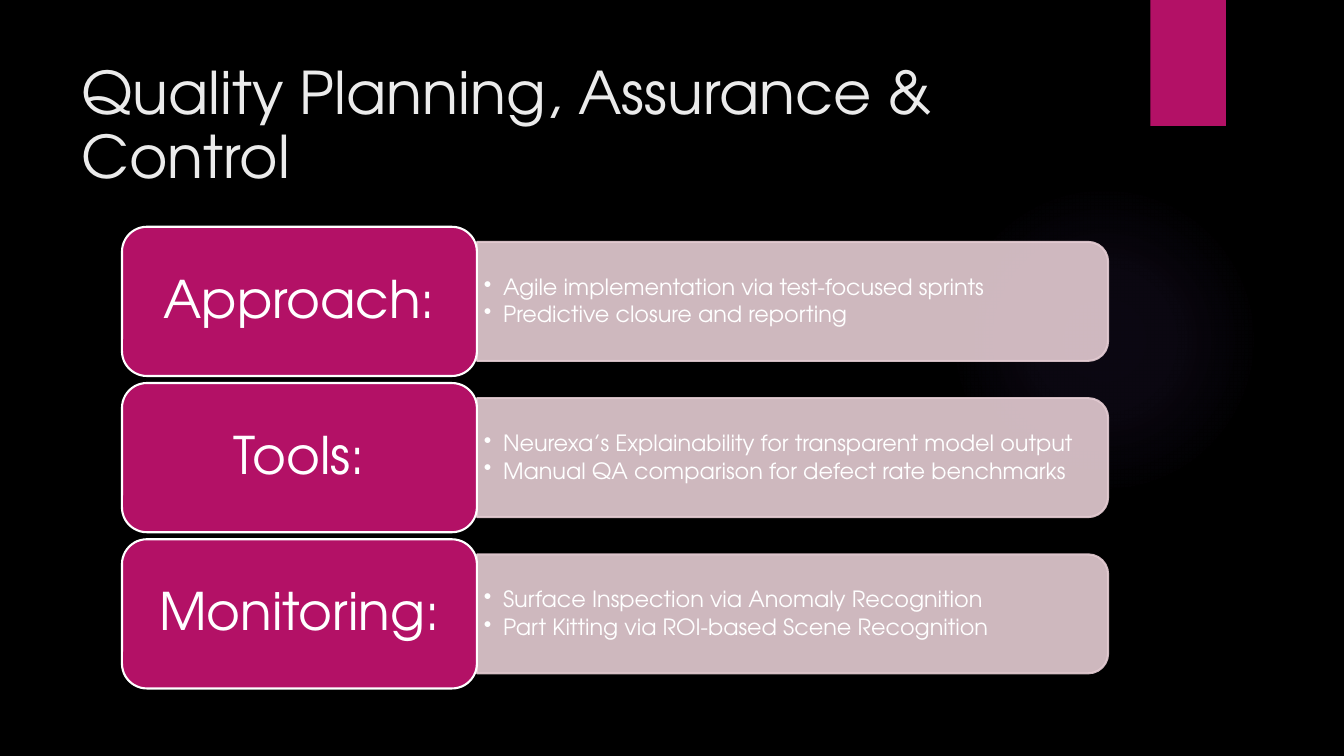
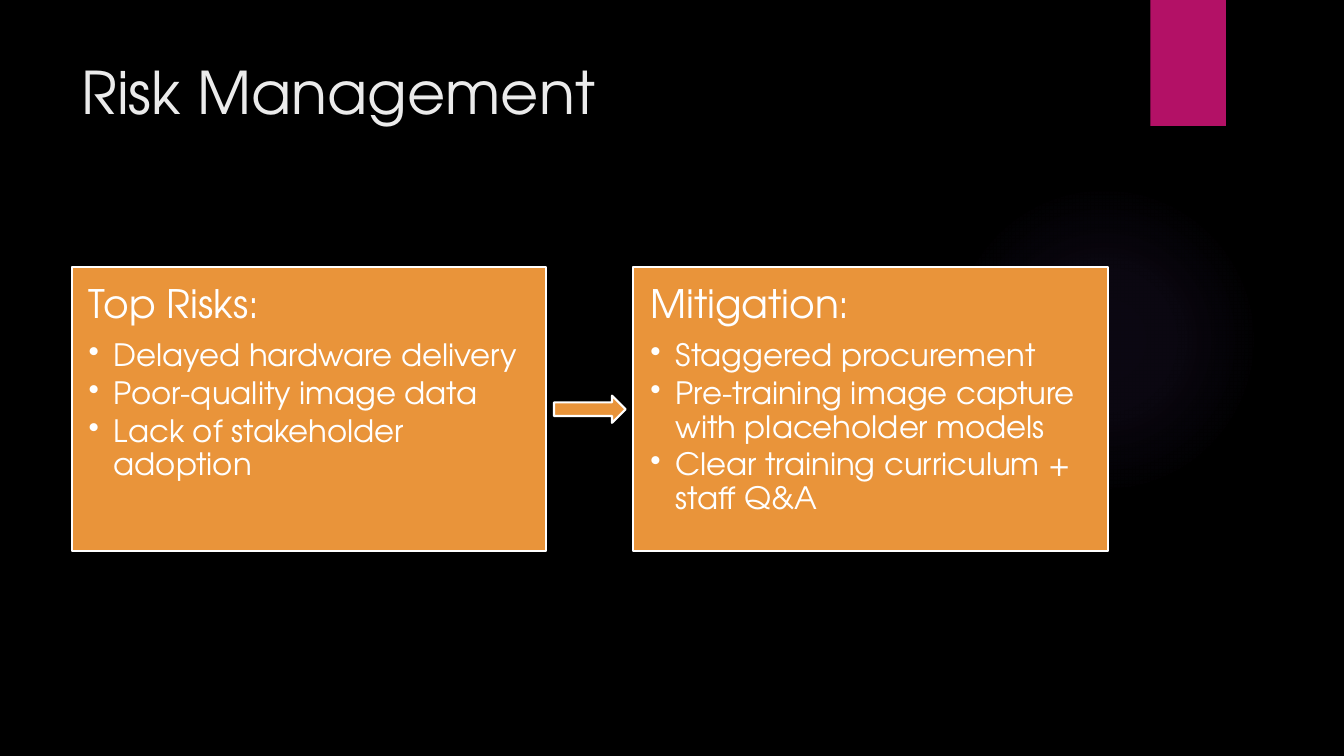
import pptx
import pptx.dml.color
import pptx.enum.shapes
import pptx.enum.text
import pptx.oxml
import pptx.oxml.ns
import pptx.util

Inches = pptx.util.Inches
Pt = pptx.util.Pt
SHAPES = pptx.enum.shapes.MSO_SHAPE
ALIGN = pptx.enum.text.PP_ALIGN
ANCHOR = pptx.enum.text.MSO_ANCHOR

FONT = "TeX Gyre Adventor"
BLACK, WHITE, TITLE_GREY = "000000", "FFFFFF", "EBEBEB"
MAGENTA, PINK, ORANGE, VIOLET = "B31166", "E5CCD3", "E9943A", "9B6BF2"
GLOW_STOPS = [(0, 7), (36, 6), (69, 0)]

QUALITY_ROWS = [
    ("Approach:", ["Agile implementation via test-focused sprints",
                   "Predictive closure and reporting"]),
    ("Tools:", ["Neurexa’s Explainability for transparent model output",
                "Manual QA comparison for defect rate benchmarks"]),
    ("Monitoring:", ["Surface Inspection via Anomaly Recognition",
                     "Part Kitting via ROI-based Scene Recognition"]),
]
RISK_CARDS = [
    ("Top Risks:", ["Delayed hardware delivery", "Poor-quality image data",
                    "Lack of stakeholder adoption"]),
    ("Mitigation:", ["Staggered procurement",
                     "Pre-training image capture with placeholder models",
                     "Clear training curriculum + staff Q&A"]),
]


def color(hex_text):
    """Turn a hex string into a colour."""
    return pptx.dml.color.RGBColor.from_string(hex_text)


def add_box(slide, kind, left, top, width, height, fill, line=None):
    """Add a flat preset shape with an optional outline."""
    shape = slide.shapes.add_shape(
        kind, Inches(left), Inches(top), Inches(width), Inches(height))
    shape.shadow.inherit = False
    shape.fill.solid()
    shape.fill.fore_color.rgb = color(fill)
    if line:
        shape.line.color.rgb = color(line)
        shape.line.width = Pt(1.5)
    else:
        shape.line.fill.background()
    return shape


def add_text_box(slide, left, top, width, height):
    """Add an empty text box."""
    return slide.shapes.add_textbox(
        Inches(left), Inches(top), Inches(width), Inches(height))


def set_frame(shape, across, down, anchor):
    """Set wrapping, margins and anchor, and return the text frame."""
    frame = shape.text_frame
    frame.word_wrap = True
    frame.margin_left = frame.margin_right = Inches(across)
    frame.margin_top = frame.margin_bottom = Inches(down)
    frame.vertical_anchor = anchor
    return frame


def set_opacity(shape, percent):
    """Make the fill and the outline of a shape partly transparent."""
    for element in shape._element.spPr.iter(pptx.oxml.ns.qn("a:srgbClr")):
        alpha = element.makeelement(
            pptx.oxml.ns.qn("a:alpha"), {"val": str(percent * 1000)})
        element.append(alpha)


def write_paragraph(paragraph, text, size, font_color=WHITE, after=0,
                    align=ALIGN.LEFT, indent=None):
    """Write one paragraph, bulleted when an indent is given."""
    paragraph.text = text
    if indent:
        properties = paragraph._p.get_or_add_pPr()
        properties.set("marL", str(Inches(indent)))
        properties.set("indent", str(-Inches(indent)))
        bullet = properties.makeelement(
            pptx.oxml.ns.qn("a:buChar"), {"char": "•"})
        properties.append(bullet)
    paragraph.alignment = align
    paragraph.line_spacing = 0.9
    paragraph.space_after = Pt(after)
    paragraph.font.name = FONT
    paragraph.font.size = Pt(size)
    paragraph.font.color.rgb = color(font_color)


def add_glow(slide):
    """Add the faint round glow at the right."""
    glow = add_box(slide, SHAPES.OVAL, 9.41, 1.83, 3.08, 3.08, VIOLET)
    stops = "".join(
        f'<a:gs pos="{position * 1000}"><a:srgbClr val="{VIOLET}">'
        f'<a:alpha val="{alpha * 1000}"/></a:srgbClr></a:gs>'
        for position, alpha in GLOW_STOPS)
    gradient = pptx.oxml.parse_xml(
        f'<a:gradFill {pptx.oxml.ns.nsdecls("a")}><a:gsLst>{stops}</a:gsLst>'
        '<a:path path="circle"><a:fillToRect l="50000" t="50000" '
        'r="50000" b="50000"/></a:path></a:gradFill>')
    properties = glow._element.spPr
    properties.replace(properties.find(pptx.oxml.ns.qn("a:solidFill")), gradient)


def add_base_slide(presentation, title, anchor, line_spacing):
    """Add a black slide with its glow, flag and title."""
    slide = presentation.slides.add_slide(presentation.slide_layouts[6])
    slide.background.fill.solid()
    slide.background.fill.fore_color.rgb = color(BLACK)
    add_glow(slide)
    add_box(slide, SHAPES.RECTANGLE, 11.41, 0, 0.75, 1.25, MAGENTA)
    title_box = add_text_box(slide, 0.71, 0.5, 10.29, 1.53)
    paragraph = set_frame(title_box, 0.1, 0.05, anchor).paragraphs[0]
    write_paragraph(paragraph, title, 42, TITLE_GREY)
    paragraph.line_spacing = line_spacing
    return slide


def add_quality_row(slide, left, top, heading, points):
    """Add a heading tile with a panel of points to its right."""
    tile_width, tile_height = 3.52, 1.48
    panel_width, panel_height = 6.26, 1.18
    panel_left = left + tile_width
    middle = top + tile_height / 2
    panel = add_box(slide, SHAPES.ROUND_2_SAME_RECTANGLE,
                    panel_left + (panel_width - panel_height) / 2,
                    middle - panel_width / 2,
                    panel_height, panel_width, PINK, PINK)
    panel.rotation = 90
    set_opacity(panel, 90)

    text_box = add_text_box(slide, panel_left, middle - 0.53, 6.2, 1.07)
    frame = set_frame(text_box, 0.07, 0.03, ANCHOR.MIDDLE)
    for index, point in enumerate(points):
        paragraph = frame.add_paragraph() if index else frame.paragraphs[0]
        write_paragraph(paragraph, point, 16, after=2.4, indent=0.19)

    tile = add_box(slide, SHAPES.ROUNDED_RECTANGLE, left, top,
                   tile_width, tile_height, MAGENTA, WHITE)
    frame = set_frame(tile, 0.15, 0.08, ANCHOR.MIDDLE)
    write_paragraph(frame.paragraphs[0], heading, 37, after=13,
                    align=ALIGN.CENTER)


def add_risk_card(slide, left, top, width, height, heading, points):
    """Add a card with a heading above bulleted points."""
    card = add_box(slide, SHAPES.RECTANGLE, left, top, width, height,
                   ORANGE, WHITE)
    frame = set_frame(card, 0.17, 0.17, ANCHOR.TOP)
    write_paragraph(frame.paragraphs[0], heading, 28, after=9.8)
    for point in points:
        write_paragraph(frame.add_paragraph(), point, 22, after=3.3,
                        indent=0.25)


def build_quality_slide(presentation):
    """Build the slide of quality rows."""
    slide = add_base_slide(presentation, "Quality Planning, Assurance & Control",
                           ANCHOR.MIDDLE, 0.9)
    for index, (heading, points) in enumerate(QUALITY_ROWS):
        add_quality_row(slide, 1.21, 2.25 + 1.55 * index, heading, points)


def build_risk_slide(presentation):
    """Build the slide leading from risks to mitigation."""
    slide = add_base_slide(presentation, "Risk Management", ANCHOR.TOP, 1.0)
    left, top, width, height, gap = 0.71, 2.65, 4.71, 2.82, 0.86
    for index, (heading, points) in enumerate(RISK_CARDS):
        add_risk_card(slide, left + index * (width + gap), top, width, height,
                      heading, points)
    arrow_width, arrow_height = 0.71, 0.27
    add_box(slide, SHAPES.RIGHT_ARROW,
            left + width + (gap - arrow_width) / 2,
            top + (height - arrow_height) / 2,
            arrow_width, arrow_height, ORANGE, WHITE)


def main():
    """Build and save the presentation."""
    presentation = pptx.Presentation()
    presentation.slide_width = Inches(13.33)
    presentation.slide_height = Inches(7.5)
    build_quality_slide(presentation)
    build_risk_slide(presentation)
    presentation.save("out.pptx")


if __name__ == "__main__":
    main()
